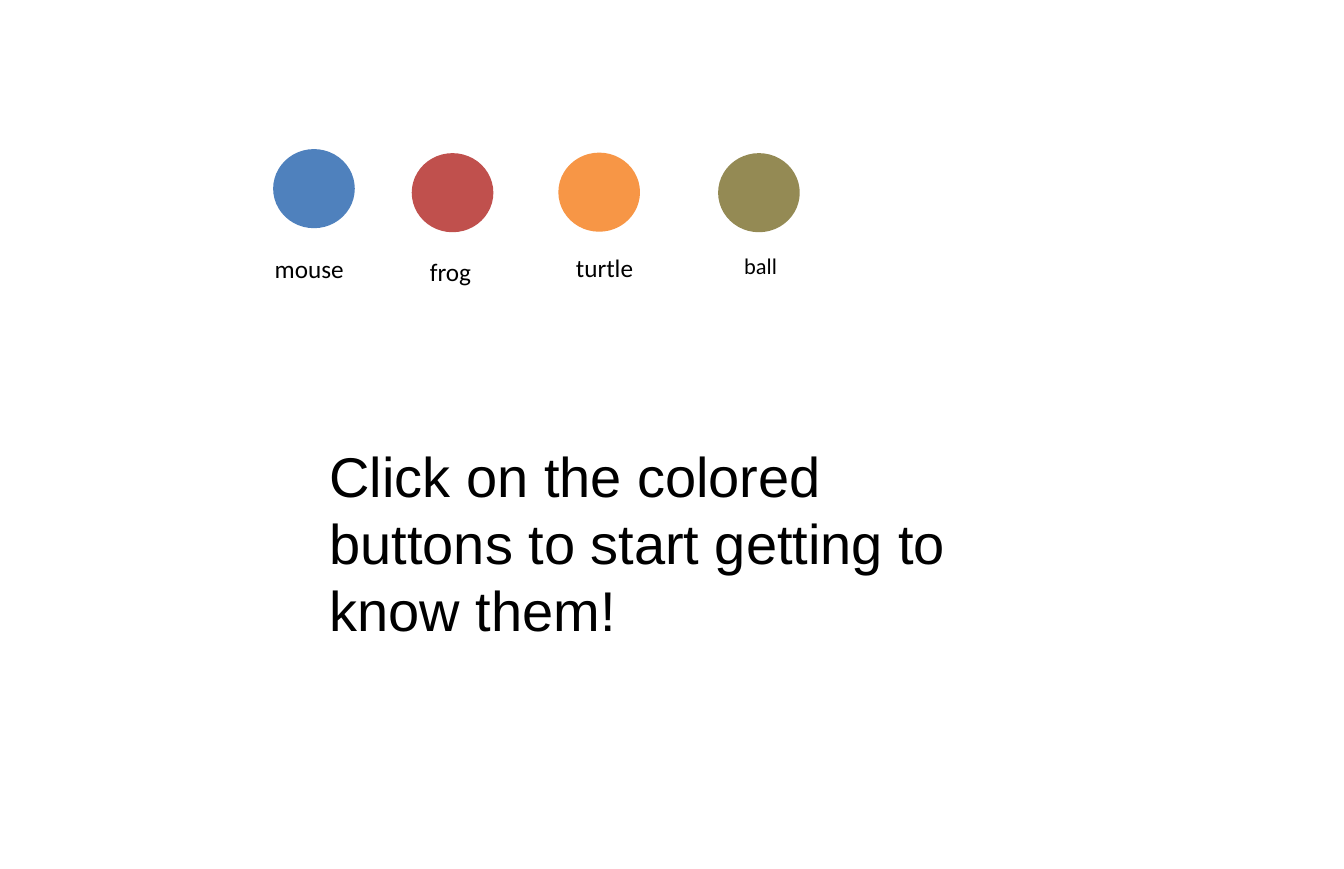
from pptx import Presentation
from pptx.dml.color import RGBColor
from pptx.enum.shapes import MSO_SHAPE
from pptx.enum.text import MSO_AUTO_SIZE
from pptx.util import Inches, Pt

ELLIPSE = MSO_SHAPE.OVAL
GROW_TO_FIT = MSO_AUTO_SIZE.SHAPE_TO_FIT_TEXT


def color(hex_string):
    return RGBColor.from_string(hex_string)


def add_text(text, left, top, width, height, size, font="Calibri", indent=0.1, line_spacing=None):
    """Add a wrapped black text box; indent is its left inset in inches."""
    box = slide.shapes.add_textbox(Inches(left), Inches(top), Inches(width), Inches(height))
    frame = box.text_frame
    frame.word_wrap = True
    frame.auto_size = GROW_TO_FIT
    frame.margin_left = Inches(indent)
    paragraph = frame.paragraphs[0]
    paragraph.line_spacing = line_spacing
    run = paragraph.add_run()
    run.text = text
    run.font.name = font
    run.font.size = Pt(size)
    run.font.color.rgb = color("000000")


presentation = Presentation()
presentation.slide_width = Inches(26.67)
presentation.slide_height = Inches(17.25)
slide = presentation.slides.add_slide(presentation.slide_layouts[6])

# Colored buttons: left, top, fill
buttons = [
    (5.42, 2.96, "4F81BD"),
    (8.17, 3.04, "C0504D"),
    (11.08, 3.03, "F79646"),
    (14.25, 3.04, "948A54"),
]
for left, top, fill in buttons:
    button = slide.shapes.add_shape(ELLIPSE, Inches(left), Inches(top), Inches(1.62), Inches(1.57))
    button.shadow.inherit = False
    button.fill.solid()
    button.fill.fore_color.rgb = color(fill)
    button.line.fill.background()

# Button names
add_text("mouse", 5.12, 4.98, 2.21, 0.71, 36, indent=0.33)
add_text("frog", 8.25, 4.98, 1.89, 0.77, 36, indent=0.28, line_spacing=1.1)
add_text("turtle", 11.33, 4.96, 2.39, 0.71, 36)
add_text("ball", 14.67, 4.96, 1.82, 0.64, 32)

# Instruction
add_text("Click on the colored buttons to start getting to know them!",
         6.44, 8.71, 13.33, 4.14, 80, font="Arial")

presentation.save("out.pptx")
